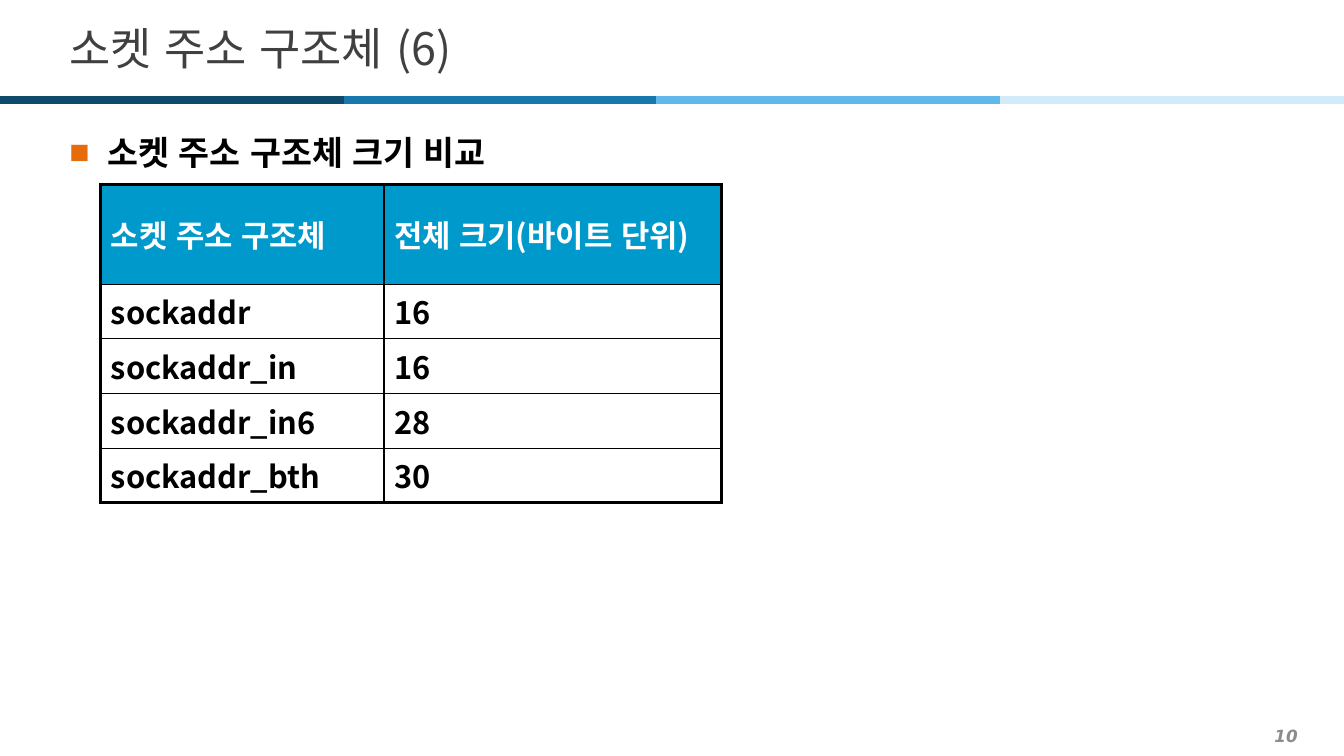
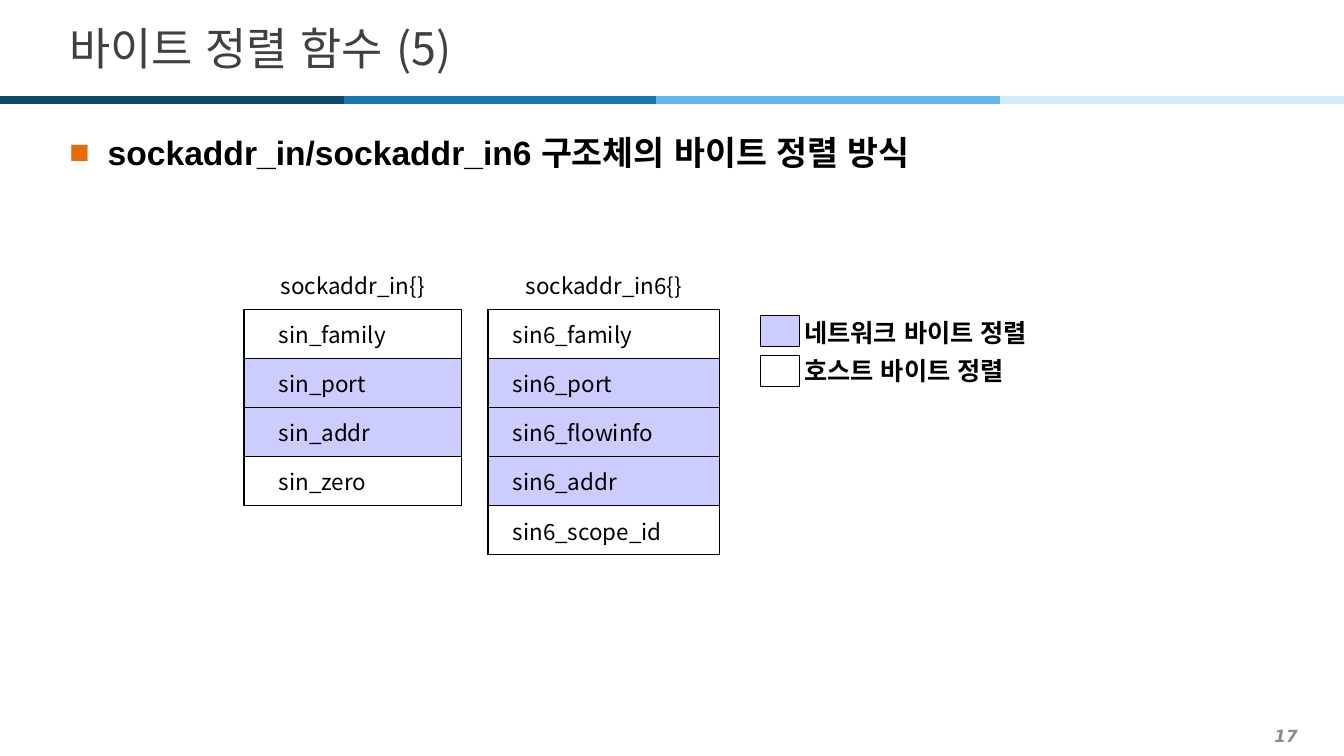
from dataclasses import dataclass

from lxml import etree
from pptx import Presentation
from pptx.dml.color import RGBColor
from pptx.enum.lang import MSO_LANGUAGE_ID
from pptx.enum.shapes import MSO_CONNECTOR, MSO_SHAPE
from pptx.enum.text import MSO_ANCHOR, PP_ALIGN
from pptx.oxml.ns import qn
from pptx.util import Inches, Pt

KOREAN = MSO_LANGUAGE_ID.KOREAN
STRAIGHT = MSO_CONNECTOR.STRAIGHT
RECTANGLE = MSO_SHAPE.RECTANGLE
TOP, MIDDLE = MSO_ANCHOR.TOP, MSO_ANCHOR.MIDDLE
LEFT, CENTER, RIGHT = PP_ALIGN.LEFT, PP_ALIGN.CENTER, PP_ALIGN.RIGHT

SLIDE_WIDTH, SLIDE_HEIGHT = Inches(13.33), Inches(7.5)


@dataclass(frozen=True)
class Style:
    size: int
    color: str = "000000"
    font: str = "Noto Sans CJK KR"
    bold: bool = False
    italic: bool = False


@dataclass(frozen=True)
class Theme:
    # Text styles
    title: Style = Style(32, "404040")
    heading: Style = Style(24, font="Arial", bold=True)
    table_head: Style = Style(22, "FFFFFF", bold=True)
    table_body: Style = Style(22, bold=True)
    field: Style = Style(16)
    legend: Style = Style(18, bold=True)
    number: Style = Style(12, "8C8C8C", "DejaVu Sans", True, True)
    # Colours
    korean_font: str = "Noto Sans CJK KR"
    line: str = "000000"
    bullet: str = "E46C0A"
    head_fill: str = "0099CC"
    network_fill: str = "CCCCFF"
    band: tuple = ("0F4A6B", "1877AC", "61B8E9", "D3EBF9")
    # Line widths
    band_width: float = 6
    outer_width: float = 2.25
    inner_width: float = 1
    swatch_width: float = 0.75


THEME = Theme()


# Lengths are percentages of the slide's width and height
def across(share):
    return round(SLIDE_WIDTH * share / 100)


def down(share):
    return round(SLIDE_HEIGHT * share / 100)


def place(left, top, width, height):
    return across(left), down(top), across(width), down(height)


# Formatting
def format_text(text_frame, style, align=LEFT, line_spacing=None):
    for paragraph in text_frame.paragraphs:
        paragraph.alignment = align
        paragraph.line_spacing = line_spacing
        for run in paragraph.runs:
            font = run.font
            font.name, font.size = style.font, Pt(style.size)
            font.bold, font.italic = style.bold, style.italic
            font.language_id = KOREAN
            font.color.rgb = RGBColor.from_string(style.color)
            east_asian = etree.SubElement(run._r.get_or_add_rPr(), qn("a:ea"))
            east_asian.set("typeface", THEME.korean_font)


def set_fill(fill, color):
    if color:
        fill.solid()
        fill.fore_color.rgb = RGBColor.from_string(color)
    else:
        fill.background()


def set_line(line, color, width):
    line.color.rgb = RGBColor.from_string(color)
    line.width = Pt(width)


def set_borders(cell, left, right, top, bottom):
    properties = cell._tc.get_or_add_tcPr()
    for side, width in zip("LRTB", (left, right, top, bottom)):
        border = etree.SubElement(properties, qn(f"a:ln{side}"), w=str(Pt(width)))
        if width:
            fill = etree.SubElement(border, qn("a:solidFill"))
            etree.SubElement(fill, qn("a:srgbClr"), val=THEME.line)
        else:
            etree.SubElement(border, qn("a:noFill"))


def add_bullet(paragraph, indent):
    properties = paragraph._p.get_or_add_pPr()
    properties.set("marL", str(indent))
    properties.set("indent", str(-indent))
    color = etree.SubElement(properties, qn("a:buClr"))
    etree.SubElement(color, qn("a:srgbClr"), val=THEME.bullet)
    etree.SubElement(properties, qn("a:buFont"), typeface=THEME.heading.font)
    etree.SubElement(properties, qn("a:buChar"), char="■")


# Elements
def add_text(slide, text, box, style, anchor=MIDDLE, align=LEFT, line_spacing=None):
    text_frame = slide.shapes.add_textbox(*place(*box)).text_frame
    text_frame.word_wrap = True
    text_frame.vertical_anchor = anchor
    text_frame.text = text
    format_text(text_frame, style, align, line_spacing)
    return text_frame


def add_band(slide):
    width, height = 25.58, down(13.2)
    first, *others = THEME.band
    starts = [100 - width * count for count in (3, 2, 1)]
    # The first segment lies over the start of the second
    for start, color in [*zip(starts, others), (0, first)]:
        segment = slide.shapes.add_connector(
            STRAIGHT, across(start), height, across(start + width), height)
        set_line(segment.line, color, THEME.band_width)
        etree.SubElement(segment._element.spPr, qn("a:effectLst"))


def add_page(presentation, title, heading, number):
    slide = presentation.slides.add_slide(presentation.slide_layouts[6])
    add_text(slide, number, (1.5, 95.2, 95.8, 4.13), THEME.number, align=RIGHT)
    add_band(slide)
    add_text(slide, title, (4.43, 1.73, 91.6, 9.07), THEME.title)
    body = add_text(slide, heading, (4.43, 15.73, 91.6, 80.4), THEME.heading,
                    anchor=TOP, line_spacing=1.2)
    body.paragraphs[0].space_after = Pt(2)
    add_bullet(body.paragraphs[0], across(2.85))
    return slide


def add_plain_table(slide, left, top, widths, heights):
    frame = slide.shapes.add_table(
        len(heights), len(widths), *place(left, top, sum(widths), sum(heights)))
    table = frame.table
    table.first_row = table.horz_banding = False
    for column, width in zip(table.columns, widths):
        column.width = across(width)
    for row, height in zip(table.rows, heights):
        row.height = down(height)
    return table


def fill_cell(cell, text, style, borders, fill=None, align=LEFT):
    cell.text = text
    cell.vertical_anchor = MIDDLE
    format_text(cell.text_frame, style, align)
    set_borders(cell, *borders)
    set_fill(cell.fill, fill)


def add_size_table(slide, rows):
    last_row, last_column = len(rows) - 1, len(rows[0]) - 1
    # The header row holds two lines of text
    heights = [13.2] + [7.23] * last_row
    table = add_plain_table(slide, 7.5, 24.4, (21.08, 25.13), heights)
    outer, inner = THEME.outer_width, THEME.inner_width
    for row, values in enumerate(rows):
        style = THEME.table_body if row else THEME.table_head
        fill = None if row else THEME.head_fill
        for column, value in enumerate(values):
            at_edge = (column == 0, column == last_column, row == 0, row == last_row)
            borders = [outer if edge else inner for edge in at_edge]
            fill_cell(table.cell(row, column), value, style, borders, fill)


def add_structure(slide, left, width, indent, name, fields):
    """Draw a named stack of fields; each field is (text, in network order)."""
    table = add_plain_table(slide, left, 34.4, (width,), [6.5] * (len(fields) + 1))
    inner = THEME.inner_width
    fill_cell(table.cell(0, 0), name, THEME.field, (0, 0, 0, inner), align=CENTER)
    for row, (text, is_network) in enumerate(fields, start=1):
        cell = table.cell(row, 0)
        fill = THEME.network_fill if is_network else None
        fill_cell(cell, text, THEME.field, [inner] * 4, fill)
        cell.margin_left = across(indent)


def add_legend(slide, entries):
    labels = "\n".join(label for label, _ in entries)
    add_text(slide, labels, (59.11, 40.8, 19.28, 10.4), THEME.legend, line_spacing=1.25)
    for index, (_, color) in enumerate(entries):
        swatch = slide.shapes.add_shape(
            RECTANGLE, *place(56.56, 41.73 + 5.33 * index, 2.93, 4.13))
        swatch.shadow.inherit = False
        set_fill(swatch.fill, color)
        set_line(swatch.line, THEME.line, THEME.swatch_width)


def main():
    presentation = Presentation()
    presentation.slide_width, presentation.slide_height = SLIDE_WIDTH, SLIDE_HEIGHT

    # Structure sizes
    slide = add_page(presentation, "소켓 주소 구조체 (6)", "소켓 주소 구조체 크기 비교", "10")
    add_size_table(slide, [
        ("소켓 주소 구조체", "전체 크기(바이트 단위)"),
        ("sockaddr", "16"),
        ("sockaddr_in", "16"),
        ("sockaddr_in6", "28"),
        ("sockaddr_bth", "30"),
    ])

    # Byte order of the fields
    slide = add_page(presentation, "바이트 정렬 함수 (5)",
                     "sockaddr_in/sockaddr_in6 구조체의 바이트 정렬 방식", "17")
    add_structure(slide, 36.31, 17.25, 1.85, "sockaddr_in6{}", [
        ("sin6_family", False),
        ("sin6_port", True),
        ("sin6_flowinfo", True),
        ("sin6_addr", True),
        ("sin6_scope_id", False),
    ])
    add_structure(slide, 18.15, 16.2, 2.6, "sockaddr_in{}", [
        ("sin_family", False),
        ("sin_port", True),
        ("sin_addr", True),
        ("sin_zero", False),
    ])
    add_legend(slide, [
        ("네트워크 바이트 정렬", THEME.network_fill),
        ("호스트 바이트 정렬", None),
    ])

    presentation.save("out.pptx")


if __name__ == "__main__":
    main()
